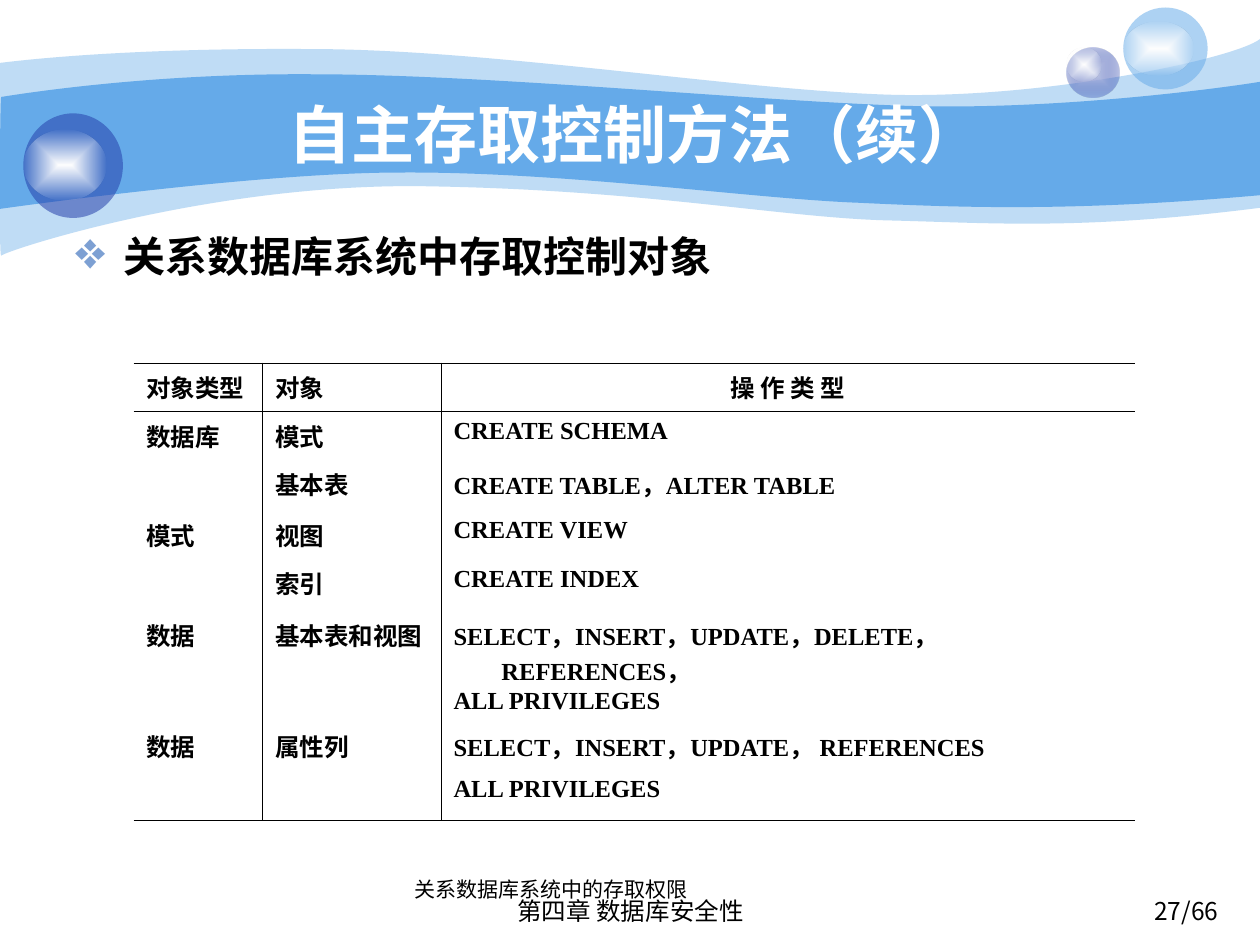
from lxml.etree import SubElement
from pptx import Presentation
from pptx.dml.color import RGBColor
from pptx.enum.shapes import MSO_SHAPE
from pptx.enum.text import MSO_ANCHOR as Anchor, MSO_AUTO_SIZE as Fit, PP_ALIGN as Align
from pptx.oxml import parse_xml
from pptx.oxml.ns import nsdecls, qn
from pptx.util import Inches, Pt

UNIT = Inches(0.1)  # the slide is a grid of 100 columns by 75 rows
hue = RGBColor.from_string


def grid(*cells):
    return [int(round(c * UNIT)) for c in cells]


def paint(shape, *stops):
    """Fill with (hex, opacity %) stops: one is solid, two run from the centre out."""
    shape.shadow.inherit = False
    shape.line.fill.background()
    shape.fill.background()
    tones = [f'<a:srgbClr val="{c}"><a:alpha val="{a * 1000}"/></a:srgbClr>' for c, a in stops]
    if len(tones) == 1:
        xml = f'<a:solidFill {nsdecls("a")}>{tones[0]}</a:solidFill>'
    else:
        xml = (f'<a:gradFill {nsdecls("a")} rotWithShape="1"><a:gsLst>'
               f'<a:gs pos="0">{tones[0]}</a:gs><a:gs pos="100000">{tones[1]}</a:gs></a:gsLst>'
               '<a:path path="rect"><a:fillToRect l="50000" t="50000" r="50000" b="50000"/>'
               '</a:path></a:gradFill>')
    props = shape._element.spPr
    props.replace(props.find(qn("a:noFill")), parse_xml(xml))


deck = Presentation()
deck.slide_width, deck.slide_height = grid(100, 75)
slide = deck.slides.add_slide(deck.slide_layouts[5])
shapes = slide.shapes

# Waves: a start point, then Bezier curves (six numbers) or lines (two)
pale = [(0, 5), (2.4, 4.7, 10.7, 3.8, 24.7, 3.9), (38.6, 3.9, 57.5, 7, 69.9, 7.5),
        (82.2, 8, 98, 4.7, 100, 3.1), (100, 16.5), (85.8, 18.3, 78.7, 17.7, 70.5, 17.5),
        (62.2, 17.3, 51.5, 15.1, 34.3, 14.8), (17.2, 14.4, 0.4, 19.9, 0.1, 20.3),
        (-0.1, 20.8, 0, 7.5, 0, 5)]
deep = [(0.1, 7.7), (0.2, 7.7, 11, 5.8, 24.8, 5.9), (38.6, 5.9, 59.5, 8, 71.8, 8.4),
        (84.1, 8.8, 97.6, 6.9, 100, 6.5), (100, 15.5), (85.3, 16.8, 76.5, 16.5, 68.2, 16.1),
        (59.9, 15.8, 44.7, 13.6, 31.7, 13.7), (20.3, 13.7, -0.2, 16.6, -0.1, 16.6),
        (0, 16.6, 0, 7.7, 0.1, 7.7)]
for wave, alpha in ((pale, 41), (deep, 100)):
    dots = [part[k:k + 2] for part in wave[1:] for k in range(0, len(part), 2)]
    pen = shapes.build_freeform(*grid(*wave[0]), scale=1.0)
    pen.add_line_segments([grid(*dot) for dot in dots], close=True)
    shape = pen.convert_to_shape()
    # Join each run of three line ends into one curve
    ends = iter(list(shape._element.iter(qn("a:lnTo"))))
    for part in wave[1:]:
        first = next(ends)
        if len(part) == 6:
            first.tag = qn("a:cubicBezTo")
            for extra in (next(ends), next(ends)):
                first.append(extra[0])
                extra.getparent().remove(extra)
    paint(shape, ("65AAE9", alpha))

# Balls, each with a white glow
glow = [("FFFFFF", 100), ("FFFFFF", 0)]
for at, stops in (
        ((84.65, 3.75, 4.2, 4), [("C7CEE9", 100), ("233DA9", 31)]),
        ((84.65, 3.75, 2.8, 2.7), glow),
        ((89.15, 0.6, 6.7, 6.5), [("65AAE9", 53)]),
        ((89.15, 1.7, 5.6, 4.3), glow),
        ((1.85, 9, 7.9, 8.3), [("233DA9", 53)]),
        ((1.85, 10.3, 6.6, 5.6), glow)):
    paint(shapes.add_shape(MSO_SHAPE.OVAL, *grid(*at)), *stops)

# Title, heading, footers and caption
title = shapes.title
shapes._spTree.append(title._element)  # bring it in front of the waves
heading = shapes.add_textbox(0, 0, 0, 0)
mark = heading.text_frame.paragraphs[0]._p.get_or_add_pPr()
mark.set("marL", str(Inches(0.38)))
mark.set("indent", str(-Inches(0.38)))
SubElement(SubElement(mark, qn("a:buClr")), qn("a:srgbClr")).set("val", "7DA0D3")
SubElement(mark, qn("a:buSzPct")).set("val", "125000")
SubElement(mark, qn("a:buChar")).set("char", "❖")

for box, at, text, size, face, tone, bold, align, anchor in (
        (title, (10, 7.5, 80.8, 6.2), "自主存取控制方法（续）", 36, "Arial", "FFFFFF", True,
         Align.CENTER, Anchor.MIDDLE),
        (heading, (5, 17.8, 89.9, 6.3), "关系数据库系统中存取控制对象", 24, "Arial", "000000", True,
         Align.LEFT, Anchor.TOP),
        (None, (74.4, 70.6, 23.3, 2.9), "27/66", 14, "Noto Sans CJK SC", "000000", False,
         Align.RIGHT, Anchor.TOP),
        (None, (34.2, 70.6, 31.7, 3.2), "第四章 数据库安全性", 14, "Arial", "000000", False,
         Align.CENTER, Anchor.TOP),
        (None, (31.9, 68.05, 24.2, 4), "关系数据库系统中的存取权限", 12, "Times New Roman", "000000",
         False, Align.LEFT, Anchor.BOTTOM)):
    box = box or shapes.add_textbox(0, 0, 0, 0)
    box.left, box.top, box.width, box.height = grid(*at)
    frame = box.text_frame
    frame.word_wrap, frame.auto_size, frame.vertical_anchor = True, Fit.NONE, anchor
    para = frame.paragraphs[0]
    para.text, para.alignment = text, align
    font = para.runs[0].font
    font.size, font.name, font.bold = Pt(size), face, bold
    font.color.rgb = hue(tone)

# Table of objects and operations
rows = [
    ("对象类型", "对象", "操 作 类 型"),
    ("数据库", "模式", "CREATE SCHEMA"),
    ("", "基本表", "CREATE TABLE，ALTER TABLE"),
    ("模式", "视图", "CREATE VIEW"),
    ("", "索引", "CREATE INDEX"),
    ("数据", "基本表和视图", "SELECT，INSERT，UPDATE，DELETE，REFERENCES，\nALL PRIVILEGES"),
    ("数据", "属性列", "SELECT，INSERT，UPDATE， REFERENCES"),
    ("", "", "ALL PRIVILEGES"),
]
last = len(rows) - 1
table = shapes.add_table(len(rows), 3, *grid(10.6, 28.8, 79.5, 31.8)).table
table.first_row = table.horz_banding = False
table._tbl.tblPr.find(qn("a:tableStyleId")).text = "{2D5ABB26-0587-4C30-8999-92F81FD0307C}"
for col, wide in zip(table.columns, grid(10.25, 14.15, 55.1)):
    col.width = wide
for r, row in enumerate(rows):
    table.rows[r].height = grid(8 if r == 5 else 3.4)[0]
    for c, text in enumerate(row):
        cell = table.cell(r, c)
        cell.fill.background()
        cell.text_frame.text = text
        for para in cell.text_frame.paragraphs:
            para.alignment = Align.CENTER if (r, c) == (0, 2) else Align.LEFT
            props = para._p.get_or_add_pPr()
            props.set("marL", str(Inches(0.38)))
            props.set("indent", str(-Inches(0.38)))
            for run in para.runs:
                font = run.font
                font.size, font.name, font.bold = Pt(14), "Times New Roman", True
                font.color.rgb = hue("000000")
        sides = {"L": c > 0, "R": c < 2, "T": r < 2, "B": r in (0, last)}
        for n, (side, shown) in enumerate(sides.items()):
            ink = ('<a:solidFill><a:srgbClr val="000000"/></a:solidFill>' if shown
                   else "<a:noFill/>")
            cell._tc.tcPr.insert(n, parse_xml(
                f'<a:ln{side} {nsdecls("a")} w="{Pt(0.45)}">{ink}</a:ln{side}>'))

deck.save("out.pptx")
